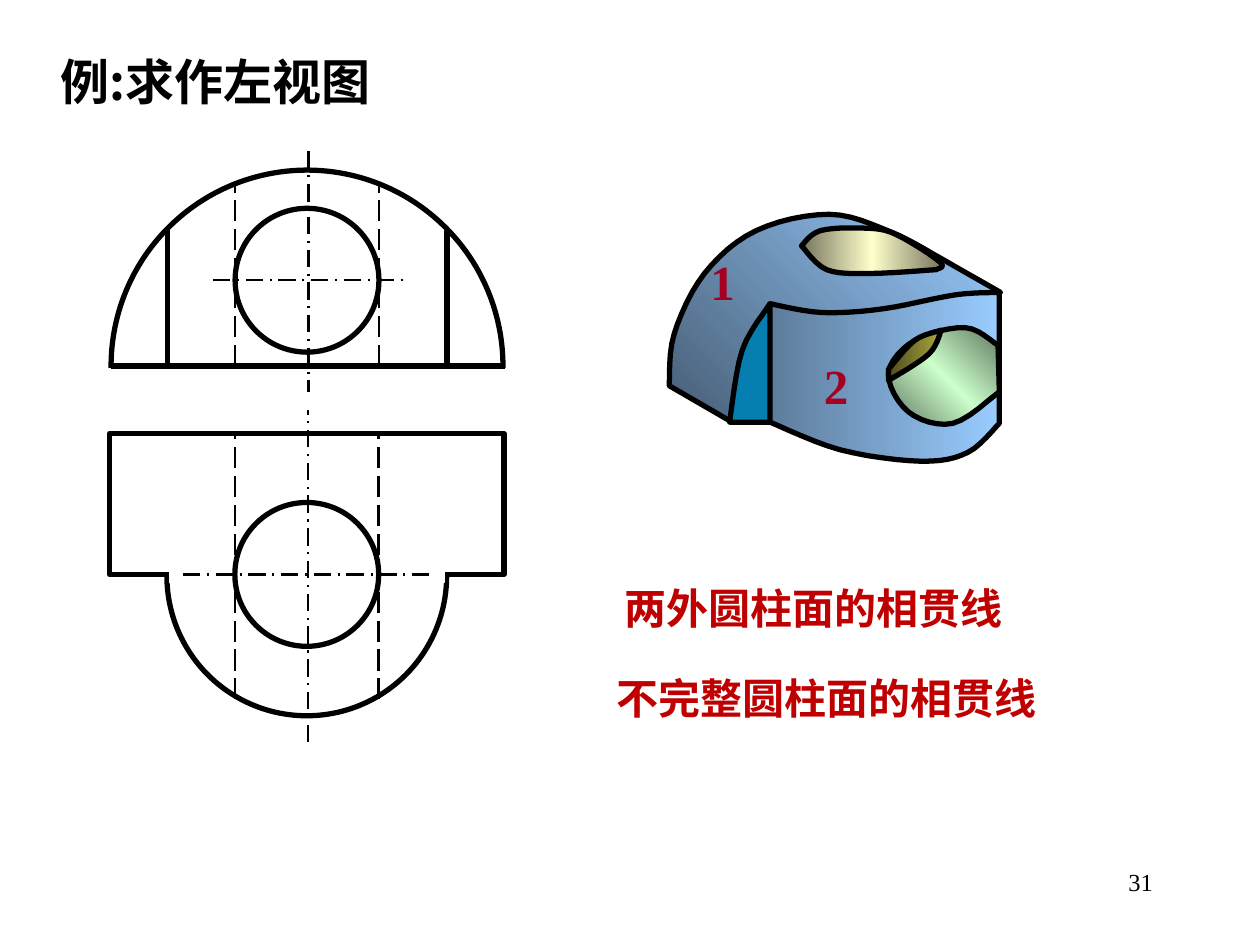
from dataclasses import dataclass

from lxml.etree import SubElement
from pptx import Presentation
from pptx.dml.color import RGBColor
from pptx.enum.dml import MSO_LINE_DASH_STYLE as Dash
from pptx.enum.shapes import MSO_CONNECTOR, MSO_SHAPE
from pptx.enum.text import PP_ALIGN as Align
from pptx.oxml.ns import qn
from pptx.util import Cm, Pt


@dataclass(frozen=True)
class Theme:
    ink: str = "000000"
    paper: str = "FFFFFF"
    label: str = "A50021"
    caption: str = "C00000"
    latin: str = "Times New Roman"
    chinese: str = "Noto Sans CJK SC"
    heading_size: int = 28
    caption_size: int = 24
    page_size: int = 14
    outline: float = 3
    hidden: float = 1.5
    axis: float = 1.25
    mask: float = 0.75


THEME = Theme()
KNOT_UNIT = Cm(2.54) / 100  # knots are hundredths of an inch
FINE = 10  # outline points per knot unit
STEPS = 6  # straight pieces between two knots

# Faces of the solid, back to front: (fill stops, angle, start, strokes).
# Each stroke goes on from the end of the one before; one knot is a straight line.
FACES = [
    # Large half cylinder
    (["475E76", "99CCFF"], 45, (263, 62), [
        [(214, 34)],
        [(176, 14), (127, 0), (69, 13), (28, 47), (4, 95), (0, 136)],
        [(50, 165)]]),
    # Flat shoulder
    (["067FB0"], 0, (85, 165), [[(48, 165)], [(58, 108), (80, 71)]]),
    # Small upright cylinder
    (["5D7C9B", "99CCFF"], 0, (80, 165), [
        [(80, 71)],
        [(121, 78), (170, 75), (227, 64), (262, 62)],
        [(262, 166)],
        [(237, 189), (200, 196), (136, 187), (80, 165)]]),
    # Upper hole
    (["76765E", "FFFFCC", "76765E"], 0, (105, 25), [
        [(125, 44), (160, 47), (212, 44)],
        [(215, 38), (180, 16), (155, 11), (120, 13), (105, 25)]]),
    # Front hole
    (["5E765E", "CCFFCC", "5E765E"], 45, (261, 104), [
        [(235, 90), (195, 100), (174, 126), (190, 157), (225, 166), (262, 141)]]),
    # Crossing of the two holes
    (["4F4C1D", "AAA53E"], 0, (216, 92), [
        [(206, 111), (174, 132)], [(174, 123)], [(195, 100), (216, 92)]]),
]


def color(value):
    return RGBColor.from_string(value)


def smooth(knots):
    """Points of a Catmull-Rom curve through the knots, without the first one."""
    padded = [knots[0], *knots, knots[-1]]
    points = []
    for before, start, end, after in zip(padded, padded[1:], padded[2:], padded[3:]):
        for step in range(1, STEPS + 1):
            t = step / STEPS
            points.append(tuple(
                b + t * (c - a + t * (2 * a - 5 * b + 4 * c - d
                                      + t * (3 * b - a - 3 * c + d))) / 2
                for a, b, c, d in zip(before, start, end, after)))
    return [tuple(FINE * value for value in point) for point in points]


def set_outline(shape, line_color, width):
    shape.line.color.rgb = color(line_color)
    shape.line.width = Pt(width)
    shape.shadow.inherit = False


def set_fill(shape, stops, angle=0):
    """One colour gives a solid fill, more give evenly spaced gradient stops."""
    if len(stops) == 1:
        shape.fill.solid()
        shape.fill.fore_color.rgb = color(stops[0])
        return
    shape.fill.gradient()
    shape.fill.gradient_angle = angle
    stop_list = next(shape._element.spPr.iter(qn("a:gsLst")))
    for stop in list(stop_list):
        stop_list.remove(stop)
    for index, value in enumerate(stops):
        position = 100000 * index // (len(stops) - 1)
        stop = SubElement(stop_list, qn("a:gs"), pos=str(position))
        SubElement(stop, qn("a:srgbClr"), val=value)


def add_outline(shapes, kind, box, fill=None, line_color=THEME.ink, width=THEME.outline):
    shape = shapes.add_shape(kind, *map(Cm, box))
    if fill:
        set_fill(shape, [fill])
    else:
        shape.fill.background()
    set_outline(shape, line_color, width)


def add_mask(shapes, box):
    add_outline(shapes, MSO_SHAPE.RECTANGLE, box, THEME.paper, THEME.paper, THEME.mask)


def add_circle(shapes, center_x, center_y, radius, fill=None):
    box = (center_x - radius, center_y - radius, 2 * radius, 2 * radius)
    add_outline(shapes, MSO_SHAPE.OVAL, box, fill)


def add_line(shapes, start, end, width=THEME.outline, dash=None):
    line = shapes.add_connector(MSO_CONNECTOR.STRAIGHT, *map(Cm, (*start, *end)))
    line.line.color.rgb = color(THEME.ink)
    line.line.width = Pt(width)
    if dash:
        line.line.dash_style = dash
    SubElement(line._element.spPr, qn("a:effectLst"))


def add_axis(shapes, start, end):
    add_line(shapes, start, end, THEME.axis, Dash.LONG_DASH_DOT)


def add_edge_pair(shapes, center, offset, top, bottom, **style):
    for x in (center - offset, center + offset):
        add_line(shapes, (x, bottom), (x, top), **style)


def add_hidden_pair(shapes, center, offset, top, bottom):
    add_edge_pair(shapes, center, offset, top, bottom,
                  width=THEME.hidden, dash=Dash.LONG_DASH)


def add_text(shapes, box, text, size, text_color, align=Align.CENTER, bold=True,
             latin=THEME.latin, wrap=True):
    frame = shapes.add_textbox(*map(Cm, box)).text_frame
    frame.word_wrap = wrap
    frame.text = text
    paragraph = frame.paragraphs[0]
    paragraph.alignment = align
    font = paragraph.runs[0].font
    font.size, font.bold, font.name = Pt(size), bold, latin
    font.color.rgb = color(text_color)
    SubElement(font._element, qn("a:ea"), typeface=THEME.chinese)


def draw_front_view(shapes, left, top, radius, hole):
    center, base = left + radius, top + radius
    hole_y = top + 2.22
    # Half circle on its base
    add_circle(shapes, center, base, radius)
    add_mask(shapes, (left - 0.69, base + 0.06, 8.97, 4.42))
    add_line(shapes, (left, base), (left + 2 * radius + 0.05, base))
    add_axis(shapes, (center + 0.03, top - 0.38), (center + 0.03, base + 0.52))
    # Visible and hidden edges, then the hole
    add_edge_pair(shapes, center, 2.82, top + 1.17, base)
    add_hidden_pair(shapes, center, hole, top + 0.23, base)
    add_axis(shapes, (center - 1.9, hole_y), (center + 2.04, hole_y))
    add_circle(shapes, center, hole_y, hole)


def draw_top_view(shapes, left, top, width, height, hole):
    center, front = left + width / 2, top + height
    # Block with a half round front
    add_circle(shapes, center, front + 0.03, 2.82, THEME.paper)
    add_outline(shapes, MSO_SHAPE.RECTANGLE, (left, top, width, height), THEME.paper)
    add_mask(shapes, (center - 2.77, front - 0.25, 5.54, 0.41))
    # Hole, axes and hidden edges
    add_circle(shapes, center, front, hole, THEME.paper)
    add_axis(shapes, (center + 0.03, top + 6.22), (center + 0.03, top - 0.48))
    add_axis(shapes, (center - 2.5, front), (center + 2.5, front))
    add_hidden_pair(shapes, center, hole, top - 0.05, top + 5.36)


def draw_solid(slide, left, top):
    shapes = slide.shapes.add_group_shape().shapes
    for stops, angle, start, strokes in FACES:
        builder = shapes.build_freeform(*(FINE * value for value in start),
                                        scale=KNOT_UNIT / FINE)
        for stroke in strokes:
            builder.add_line_segments(smooth([start, *stroke]), close=stroke is strokes[-1])
            start = stroke[-1]
        face = builder.convert_to_shape(Cm(left), Cm(top))
        set_fill(face, stops, angle)
        set_outline(face, THEME.ink, THEME.outline)
    # Numbers of the two cylinders
    for number, x, y in (("1", 0.58, 0.63), ("2", 2.87, 2.72)):
        add_text(slide.shapes, (left + x, top + y, 0.99, 1.45), number,
                 THEME.heading_size, THEME.label, wrap=False)


def draw_texts(shapes):
    add_text(shapes, (0.97, 0.91, 11.28, 1.45), "例:求作左视图", THEME.heading_size,
             THEME.ink, Align.LEFT, latin=THEME.chinese)
    for text, box in (("两外圆柱面的相贯线", (12.04, 11.61, 8.71, 1.27)),
                      ("不完整圆柱面的相贯线", (11.79, 13.44, 9.75, 1.27))):
        add_text(shapes, box, text, THEME.caption_size, THEME.caption)
    add_text(shapes, (18.21, 17.35, 5.28, 1.27), "31", THEME.page_size, THEME.ink,
             Align.RIGHT, bold=False)


presentation = Presentation()
presentation.slide_width, presentation.slide_height = Cm(25.4), Cm(19.05)
slide = presentation.slides.add_slide(presentation.slide_layouts[6])
draw_solid(slide, left=13.49, top=4.32)
views = slide.shapes.add_group_shape().shapes
draw_front_view(views, left=2.24, top=3.43, radius=3.95, hole=1.45)
draw_top_view(views, left=2.21, top=8.74, width=7.95, height=2.84, hole=1.45)
draw_texts(slide.shapes)
presentation.save("out.pptx")
